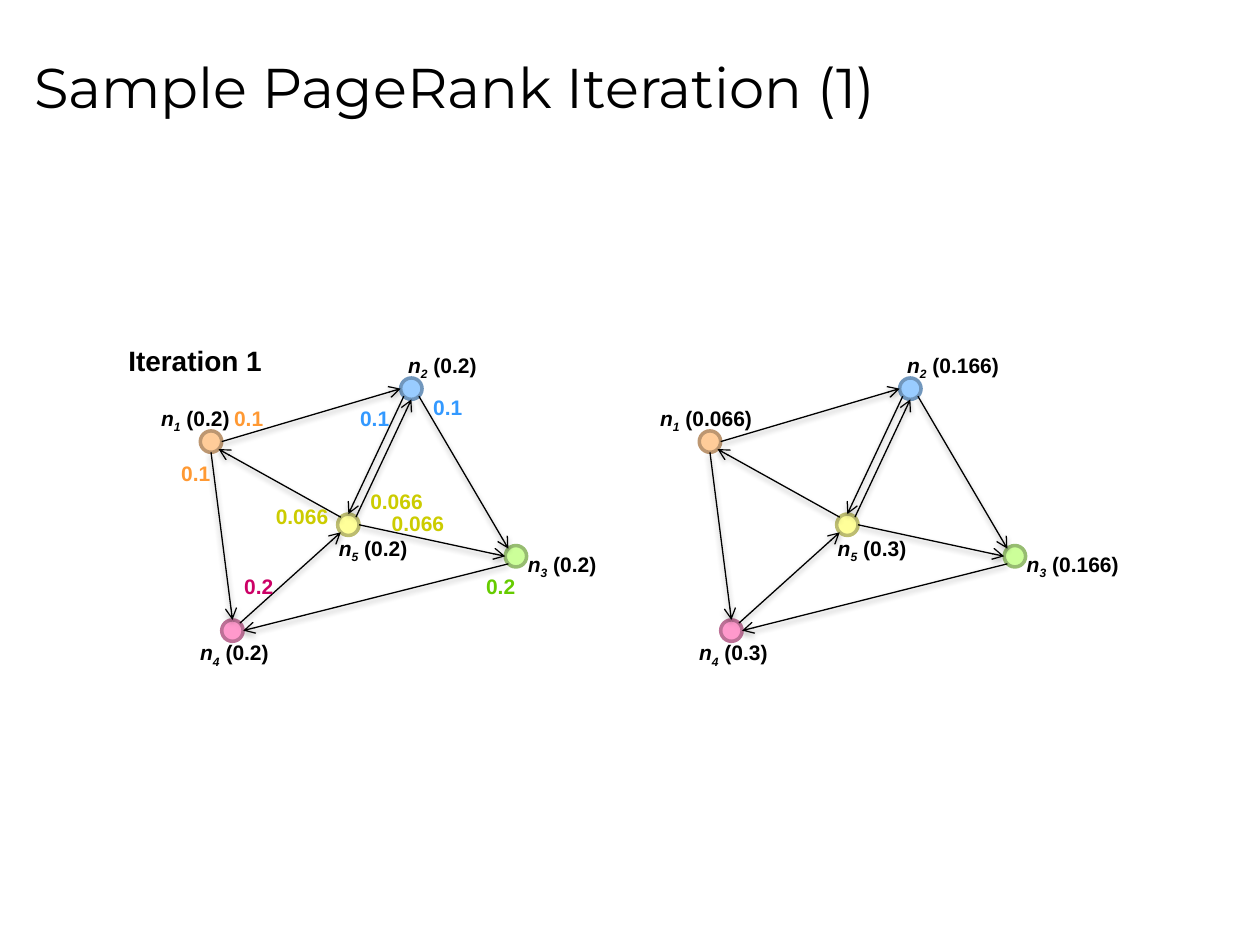
import math
from collections import namedtuple
from dataclasses import dataclass

from lxml import etree
from pptx import Presentation
from pptx import util as u
from pptx.dml import color
from pptx.enum import shapes, text
from pptx.oxml import ns


@dataclass(frozen=True)
class Theme:
    title_font: str = "Montserrat"
    body_font: str = "Arial"
    title_size: int = 32
    heading_size: int = 16
    label_size: int = 12
    ink: str = "000000"
    orange: str = "FF9933"
    blue: str = "3399FF"
    pink: str = "CC0066"
    green: str = "66CC00"
    yellow: str = "CCCC00"
    node_line: float = 2
    edge_line: float = 0.75


Node = namedtuple("Node", "left top fill line label_left label_top label_width")

NODE_SIZE = 0.17
GRAPH_SHIFT = 3.96
LABEL_HEIGHT = 0.3
LONG_LABEL_WIDTH = 0.95
NODES = {
    "1": Node(1.59, 3.42, "FFCC99", "BD9771", 1.18, 3.17, 0.76),
    "2": Node(3.18, 3.00, "99CCFF", "7197BD", 3.14, 2.75, 0.79),
    "3": Node(4.01, 4.33, "CCFF99", "97BD71", 4.09, 4.33, 0.79),
    "4": Node(1.76, 4.92, "FF99CC", "BD7197", 1.49, 5.03, 0.76),
    "5": Node(2.68, 4.08, "FFFF99", "BDBD71", 2.59, 4.20, 0.79),
}
COMPASS = {"E": 0, "SE": 45, "S": 90, "SW": 135, "W": 180, "NW": 225, "N": 270, "NE": 315}
EDGES = [
    ("1", "E", "2", "W"),
    ("5", "NW", "1", "SE"),
    ("1", "S", "4", "N"),
    ("4", "NE", "5", "SW"),
    ("5", "NE", "2", "S"),
    ("2", "SE", "3", "NW"),
    ("5", "E", "3", "W"),
    ("3", "SW", "4", "E"),
    ("2", "SW", "5", "N"),
]
SCORES_BEFORE = {"1": "0.2", "2": "0.2", "3": "0.2", "4": "0.2", "5": "0.2"}
SCORES_AFTER = {"1": "0.066", "2": "0.166", "3": "0.166", "4": "0.3", "5": "0.3"}
SHARES = [
    ("0.1", "orange", 1.76, 3.17),
    ("0.1", "orange", 1.34, 3.61),
    ("0.2", "pink", 1.84, 4.50),
    ("0.2", "green", 3.76, 4.50),
    ("0.1", "blue", 2.76, 3.17),
    ("0.1", "blue", 3.34, 3.08),
    ("0.066", "yellow", 2.09, 3.95),
    ("0.066", "yellow", 3.01, 4.00),
    ("0.066", "yellow", 2.84, 3.83),
]


def rgb(value):
    return color.RGBColor.from_string(value)


def apply(target, values):
    for name, value in values.items():
        setattr(target, name, value)


class SlideBuilder:
    def __init__(self, slide, theme):
        self.slide = slide
        self.theme = theme

    def title(self, words):
        shape = self.slide.shapes.title
        apply(shape, {
            "left": u.Inches(0.17), "top": u.Inches(0.12),
            "width": u.Inches(9.5), "height": u.Inches(1.12),
        })
        frame = shape.text_frame
        apply(frame, {"vertical_anchor": text.MSO_ANCHOR.MIDDLE, "word_wrap": True})
        paragraph = frame.paragraphs[0]
        paragraph.alignment = text.PP_ALIGN.LEFT
        self.run(paragraph, words, name=self.theme.title_font,
                 size=u.Pt(self.theme.title_size), bold=False)

    def run(self, paragraph, words, ink=None, **font):
        run = paragraph.add_run()
        run.text = words
        values = {"name": self.theme.body_font, "size": u.Pt(self.theme.label_size), "bold": True}
        apply(run.font, {**values, **font})
        run.font.color.rgb = rgb(ink or self.theme.ink)
        return run

    def textbox(self, group, left, top, width, height=LABEL_HEIGHT):
        box = group.shapes.add_textbox(*map(u.Inches, (left, top, width, height)))
        apply(box.text_frame, {
            "word_wrap": False, "auto_size": text.MSO_AUTO_SIZE.SHAPE_TO_FIT_TEXT,
        })
        return box.text_frame.paragraphs[0]

    def circle(self, group, node, shift):
        shape = group.shapes.add_shape(
            shapes.MSO_SHAPE.OVAL, u.Inches(node.left + shift), u.Inches(node.top),
            u.Inches(NODE_SIZE), u.Inches(NODE_SIZE))
        shape.shadow.inherit = False
        shape.fill.solid()
        shape.fill.fore_color.rgb = rgb(node.fill)
        shape.line.color.rgb = rgb(node.line)
        shape.line.width = u.Pt(self.theme.node_line)

    def arrow(self, group, start, end):
        connector = group.shapes.add_connector(
            shapes.MSO_CONNECTOR.STRAIGHT, *map(u.Inches, start + end))
        connector.line.color.rgb = rgb(self.theme.ink)
        connector.line.width = u.Pt(self.theme.edge_line)
        etree.SubElement(connector.line._ln, ns.qn("a:tailEnd"), type="arrow")
        effects = etree.SubElement(connector._element.spPr, ns.qn("a:effectLst"))
        shadow = etree.SubElement(effects, ns.qn("a:outerShdw"), blurRad="40000",
                                  dist="20000", dir="5400000", rotWithShape="0")
        ink = etree.SubElement(shadow, ns.qn("a:srgbClr"), val=self.theme.ink)
        etree.SubElement(ink, ns.qn("a:alpha"), val="38000")

    def node_label(self, group, key, score, shift):
        node = NODES[key]
        width = LONG_LABEL_WIDTH if len(score) > 3 else node.label_width
        paragraph = self.textbox(group, node.label_left + shift, node.label_top, width)
        self.run(paragraph, "n", italic=True)
        subscript = self.run(paragraph, key, italic=True)
        subscript._r.get_or_add_rPr().set("baseline", "-25000")
        self.run(paragraph, f" ({score})", italic=False)

    def share(self, group, value, ink, left, top):
        width = 0.62 if len(value) > 3 else 0.44
        paragraph = self.textbox(group, left, top, width)
        self.run(paragraph, value, getattr(self.theme, ink))

    def heading(self, group, words):
        paragraph = self.textbox(group, 0.92, 2.68, 1.28, 0.37)
        self.run(paragraph, words, size=u.Pt(self.theme.heading_size))

    def graph(self, scores, shift=0):
        group = self.slide.shapes.add_group_shape()
        for node in NODES.values():
            self.circle(group, node, shift)
        for source, source_side, target, target_side in EDGES:
            self.arrow(group, rim_point(source, source_side, shift),
                       rim_point(target, target_side, shift))
        for key, score in scores.items():
            self.node_label(group, key, score, shift)
        return group


def rim_point(key, side, shift):
    node, angle, radius = NODES[key], math.radians(COMPASS[side]), NODE_SIZE / 2
    return (node.left + shift + radius * (1 + math.cos(angle)),
            node.top + radius * (1 + math.sin(angle)))


def main():
    presentation = Presentation()
    apply(presentation, {"slide_width": u.Inches(10), "slide_height": u.Inches(7.5)})
    slide = presentation.slides.add_slide(presentation.slide_layouts[5])
    builder = SlideBuilder(slide, Theme())
    builder.title("Sample PageRank Iteration (1)")
    builder.graph(SCORES_AFTER, GRAPH_SHIFT)
    before = builder.graph(SCORES_BEFORE)
    for share in SHARES:
        builder.share(before, *share)
    builder.heading(before, "Iteration 1")
    presentation.save("out.pptx")


if __name__ == "__main__":
    main()
